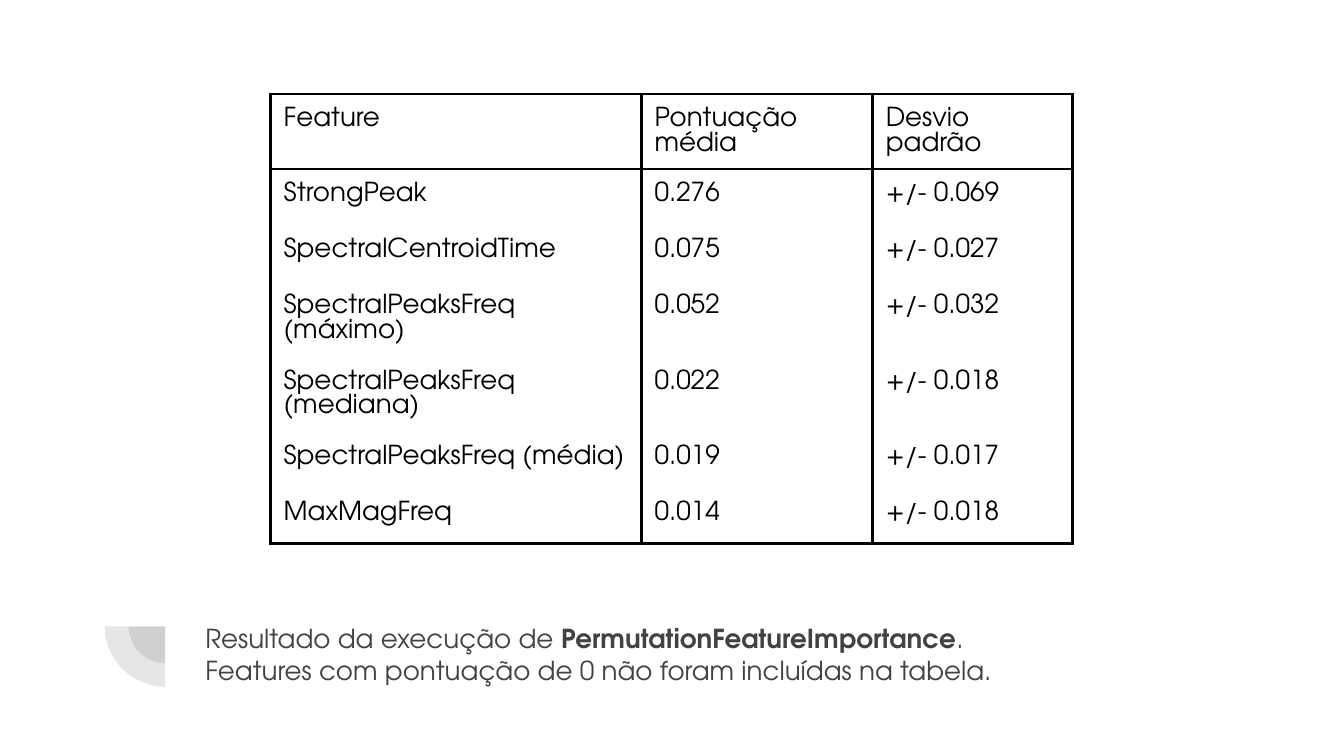
from lxml.etree import SubElement
from pptx import Presentation
from pptx.dml.color import RGBColor
from pptx.enum.shapes import MSO_SHAPE as Shape
from pptx.enum.text import PP_ALIGN as Align
from pptx.oxml.ns import qn
from pptx.util import Cm, Pt

BLACK = RGBColor(0x00, 0x00, 0x00)
GRAY = RGBColor(0x42, 0x42, 0x42)

COLUMN_WIDTHS = [7.01, 4.37, 3.78]
ROW_HEIGHT = 1.06
ROWS = [
    ("Feature", "Pontuação média", "Desvio padrão"),
    ("StrongPeak", "0.276", "+/- 0.069"),
    ("SpectralCentroidTime", "0.075", "+/- 0.027"),
    ("SpectralPeaksFreq (máximo)", "0.052", "+/- 0.032"),
    ("SpectralPeaksFreq (mediana)", "0.022", "+/- 0.018"),
    ("SpectralPeaksFreq (média)", "0.019", "+/- 0.017"),
    ("MaxMagFreq", "0.014", "+/- 0.018"),
]
CAPTION = [
    [("Resultado da execução de ", False), ("PermutationFeatureImportance", True), (".", False)],
    [("Features com pontuação de 0 não foram incluídas na tabela.", False)],
]


class SlideBuilder:
    font_name = "TeX Gyre Adventor"
    font_size = Pt(14)
    inset = Cm(0.25)
    border_width = Pt(1.5)

    def __init__(self, slide):
        self.slide = slide

    def style_paragraph(self, paragraph, color, line_spacing):
        paragraph.alignment = Align.LEFT
        paragraph.line_spacing = Pt(line_spacing)
        paragraph.font.name = self.font_name
        paragraph.font.size = self.font_size
        paragraph.font.color.rgb = color

    def set_margins(self, target):
        target.margin_left = target.margin_right = self.inset
        target.margin_top = target.margin_bottom = self.inset

    def add_quarter(self, center_x, center_y, radius):
        """Add a translucent lower-left quarter disc."""
        quarter = self.slide.shapes.add_shape(
            Shape.PIE, Cm(center_x - radius), Cm(center_y - radius), Cm(2 * radius), Cm(2 * radius))
        quarter.adjustments[0] = 54  # 90 degrees
        quarter.adjustments[1] = 108  # 180 degrees
        quarter.shadow.inherit = False
        quarter.line.fill.background()
        quarter.fill.solid()
        quarter.fill.fore_color.rgb = GRAY
        color = quarter.fill._xPr.find(f"{qn('a:solidFill')}/{qn('a:srgbClr')}")
        SubElement(color, qn("a:alpha"), val="13000")

    def add_caption(self, left, top, width, height, lines):
        frame = self.slide.shapes.add_textbox(Cm(left), Cm(top), Cm(width), Cm(height)).text_frame
        frame.word_wrap = True
        self.set_margins(frame)
        for index, line in enumerate(lines):
            paragraph = frame.add_paragraph() if index else frame.paragraphs[0]
            self.style_paragraph(paragraph, GRAY, 17)
            for text, bold in line:
                run = paragraph.add_run()
                run.text = text
                run.font.bold = bold

    def set_borders(self, cell, visible_sides):
        properties = cell._tc.get_or_add_tcPr()
        for side in "LRTB":
            line = SubElement(properties, qn(f"a:ln{side}"), w=str(self.border_width))
            if side in visible_sides:
                fill = SubElement(line, qn("a:solidFill"))
                SubElement(fill, qn("a:srgbClr"), val=str(BLACK))
            else:
                SubElement(line, qn("a:noFill"))

    def add_table(self, left, top, rows, column_widths, row_height):
        """Add a table ruled around its header, its columns and its outer edge."""
        table = self.slide.shapes.add_table(
            len(rows), len(column_widths), Cm(left), Cm(top),
            Cm(sum(column_widths)), Cm(row_height * len(rows))).table
        table.first_row = table.horz_banding = False
        for column, width in zip(table.columns, column_widths):
            column.width = Cm(width)
        for row_index, values in enumerate(rows):
            table.rows[row_index].height = Cm(row_height)
            sides = "LR"
            if row_index <= 1:
                sides += "T"
            if row_index in (0, len(rows) - 1):
                sides += "B"
            for column_index, value in enumerate(values):
                cell = table.cell(row_index, column_index)
                cell.text = value
                self.set_margins(cell)
                self.style_paragraph(cell.text_frame.paragraphs[0], BLACK, 13)
                self.set_borders(cell, sides)
                cell.fill.background()


def main():
    presentation = Presentation()
    presentation.slide_width = Cm(25.4)
    presentation.slide_height = Cm(14.29)
    builder = SlideBuilder(presentation.slides.add_slide(presentation.slide_layouts[6]))
    for radius in (0.69, 1.14):
        builder.add_quarter(3.12, 11.84, radius)
    builder.add_caption(3.63, 11.51, 16.23, 1.47, CAPTION)
    builder.add_table(5.11, 1.78, ROWS, COLUMN_WIDTHS, ROW_HEIGHT)
    presentation.save("out.pptx")


if __name__ == "__main__":
    main()
